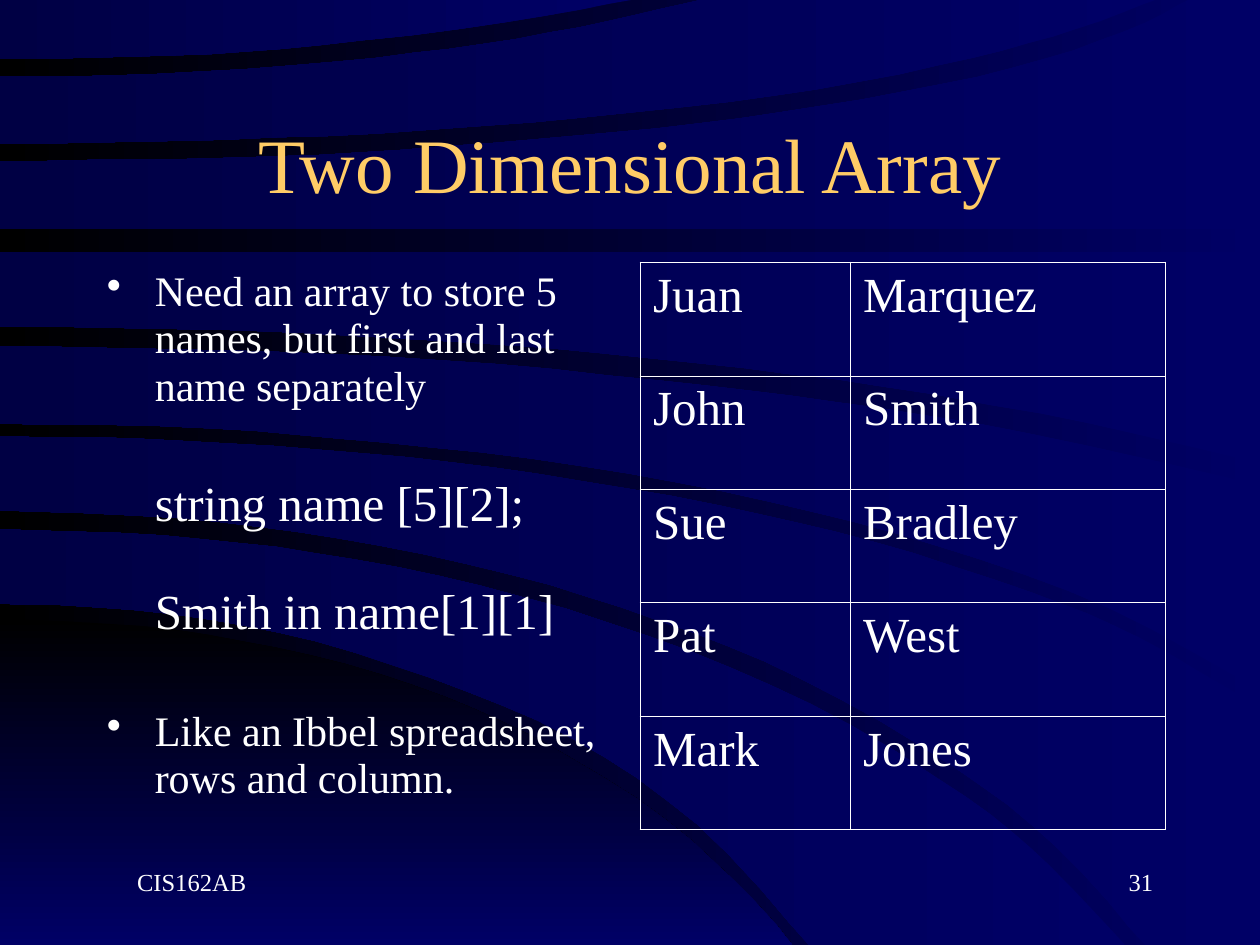
from lxml import etree
from pptx import Presentation
from pptx import util as u
from pptx.dml.color import RGBColor
from pptx.enum import text
from pptx.oxml import ns

FONT = "Times New Roman"
COLORS = {
    "navy": "000066",
    "dusk": "000044",
    "black": "000000",
    "gold": "FFCC66",
    "white": "FFFFFF",
}
COLUMNS, ROWS = 120, 90
UNIT = u.Inches(10) // COLUMNS
HANGING = 0.38
THICK, THIN = 1.08, 0.45
NAMES = [
    ("Juan", "Marquez"),
    ("John", "Smith"),
    ("Sue", "Bradley"),
    ("Pat", "West"),
    ("Mark", "Jones"),
]
HILL = (
    [(0, 4.91), (1.13, 4.97), (2.19, 5.14), (3.28, 5.44), (4.26, 5.86),
     (5.29, 6.51), (5.97, 7.13), (6.29, 7.5)],
    [],
    [(0, 7.5), (6.29, 7.5)],
)
# Each band holds its upper edge, its right-hand corners and its lower edge.
BANDS = [
    ([(0, 4.2), (1.3, 4.25), (2.49, 4.39), (3.82, 4.65), (5.15, 5.05),
      (6.44, 5.59), (7.66, 6.32), (8.33, 6.87), (8.93, 7.5)],
     [],
     [(0, 4.79), (1.05, 4.84), (2.21, 5.02), (3.42, 5.38), (4.54, 5.86),
      (5.53, 6.54), (6.42, 7.5)]),
    ([(0, 3.46), (1.44, 3.5), (2.89, 3.6), (4.26, 3.76), (5.7, 4.01),
      (6.93, 4.3), (8.18, 4.7), (9.04, 5.06), (10, 5.62)],
     [(10, 7.5)],
     [(0, 4.05), (1.4, 4.11), (2.67, 4.27), (4.05, 4.56), (5.21, 4.92),
      (6.36, 5.39), (7.56, 6.08), (8.38, 6.72), (9.09, 7.5)]),
    ([(0, 2.75), (1.68, 2.78), (3.49, 2.86), (5.23, 3.02), (6.62, 3.19),
      (8.16, 3.44), (10, 3.85)],
     [],
     [(0, 3.36), (1.67, 3.4), (3.03, 3.51), (4.62, 3.7), (6.1, 3.98),
      (7.43, 4.33), (8.81, 4.83), (10, 5.48)]),
    ([(0, 2), (10, 2)],
     [],
     [(0, 2.59), (1.86, 2.62), (3.89, 2.73), (5.52, 2.88), (7.02, 3.07),
      (8.65, 3.36), (10, 3.68)]),
    ([(0, 1.28), (1.57, 1.26), (2.86, 1.21), (4.2, 1.11), (5.54, 0.98),
      (6.84, 0.79), (8.03, 0.54), (8.92, 0.25), (9.43, 0)],
     [(10, 0)],
     [(0, 1.82), (10, 1.82)]),
    ([(0, 0.61), (1.21, 0.59), (2.67, 0.49), (3.83, 0.35), (4.82, 0.17),
      (5.56, 0)],
     [],
     [(0, 1.14), (1.77, 1.11), (3.41, 1.03), (5.04, 0.89), (6.48, 0.71),
      (7.72, 0.46), (8.54, 0.23), (9.17, 0)]),
    ([(0, 0), (5.01, 0)],
     [],
     [(0, 0.47), (1.37, 0.44), (2.53, 0.36), (3.99, 0.18), (5.01, 0)]),
]


def color(name):
    """Return the named colour."""
    return RGBColor.from_string(COLORS[name])


def smooth(knots, steps=4):
    """Return points in hundredths of an inch on a spline through the knots."""
    padded = [knots[0], *knots, knots[-1]]
    points = []
    for a, b, c, d in zip(padded, padded[1:], padded[2:], padded[3:]):
        for t in (step / steps for step in range(steps)):
            points.append(tuple(
                50 * (2 * q + (r - p) * t + (2 * p - 5 * q + 4 * r - s) * t**2
                      + (3 * q - p - 3 * r + s) * t**3)
                for p, q, r, s in zip(a, b, c, d)))
    return points + [tuple(100 * value for value in knots[-1])]


def paint_gradient(fill, first, last, angle):
    """Give a fill two colours at a counter-clockwise angle."""
    fill.gradient()
    fill.gradient_angle = angle
    for stop, name, position in zip(fill.gradient_stops, (first, last), (0, 1)):
        stop.color.rgb = color(name)
        stop.position = position


def add_band(page, band, first="navy", last="dusk", angle=180):
    """Draw one curved background band."""
    upper, corners, lower = band
    outline = smooth(upper) + [(100 * x, 100 * y) for x, y in corners]
    outline += smooth(lower)[::-1]
    builder = page.shapes.build_freeform(*outline[0], scale=u.Inches(1) / 100)
    builder.add_line_segments(outline[1:], close=True)
    shape = builder.convert_to_shape()
    shape.shadow.inherit = False
    shape.line.fill.background()
    paint_gradient(shape.fill, first, last, angle)


def write(para, words, size=28, ink="white", align=text.PP_ALIGN.LEFT,
          left=0, bullet=False, before=0, spacing=1):
    """Write formatted words into a paragraph."""
    span = para.add_run()
    span.text = words
    span.font.name = FONT
    span.font.size = u.Pt(size)
    span.font.color.rgb = color(ink)
    para.alignment = align
    para.space_before = u.Pt(before)
    para.line_spacing = spacing
    properties = para._p.get_or_add_pPr()
    properties.set("marL", str(u.Inches(left)))
    properties.set("indent", str(-u.Inches(left) if bullet else 0))
    if bullet:
        etree.SubElement(properties, ns.qn("a:buChar")).set("char", "•")


def add_box(page, column, row, width, height, anchor=text.MSO_ANCHOR.TOP):
    """Add a wrapping text box on the grid and return its frame."""
    box = page.shapes.add_textbox(*(UNIT * n for n in (column, row, width, height)))
    frame = box.text_frame
    frame.word_wrap = True
    frame.vertical_anchor = anchor
    return frame


def add_body(page):
    """Add the bulleted notes and the code lines."""
    lines = [
        ("Need an array to store 5 names, but first and last name separately",
         24, True, 0),
        ("string name [5][2];", 28, False, 38),
        ("Smith in name[1][1]", 28, False, 30),
        ("Like an Ibbel spreadsheet, rows and column.", 24, True, 39),
    ]
    frame = add_box(page, 9, 25, 50, 54)
    for index, (words, size, bullet, before) in enumerate(lines):
        para = frame.add_paragraph() if index else frame.paragraphs[0]
        write(para, words, size=size, left=HANGING, bullet=bullet,
              before=before, spacing=0.94)


def set_borders(cell, top, bottom):
    """Draw white lines round a cell."""
    properties = cell._tc.get_or_add_tcPr()
    widths = {"lnL": THICK, "lnR": THICK, "lnT": top, "lnB": bottom}
    for index, (tag, width) in enumerate(widths.items()):
        line = etree.Element(ns.qn("a:" + tag), w=str(u.Pt(width)))
        fill = etree.SubElement(line, ns.qn("a:solidFill"))
        etree.SubElement(fill, ns.qn("a:srgbClr"), val=COLORS["white"])
        properties.insert(index, line)


def add_names(page):
    """Add the table of first and last names."""
    frame = page.shapes.add_table(len(NAMES), 2, *(UNIT * n for n in (61, 25, 50, 54)))
    table = frame.table
    table.first_row = table.horz_banding = False
    for column, width in zip(table.columns, (20, 30)):
        column.width = UNIT * width
    for row, names in enumerate(NAMES):
        for column, name in enumerate(names):
            cell = table.cell(row, column)
            cell.fill.background()
            write(cell.text_frame.paragraphs[0], name)
            set_borders(cell, THIN if row else THICK,
                        THICK if row == len(NAMES) - 1 else THIN)


def main():
    """Build and save the slide."""
    deck = Presentation()
    deck.slide_width, deck.slide_height = UNIT * COLUMNS, UNIT * ROWS
    page = deck.slides.add_slide(deck.slide_layouts[6])
    paint_gradient(page.background.fill, "navy", "black", 180)
    add_band(page, HILL, "black", "navy", 270)
    for band in BANDS:
        add_band(page, band)
    title = add_box(page, 9, 8, 102, 15, text.MSO_ANCHOR.MIDDLE)
    write(title.paragraphs[0], "Two Dimensional Array", size=44, ink="gold",
          align=text.PP_ALIGN.CENTER)
    add_body(page)
    add_names(page)
    write(add_box(page, 86, 82, 25, 6).paragraphs[0], "31", size=14,
          align=text.PP_ALIGN.RIGHT, left=0.24)
    write(add_box(page, 9, 82, 25, 6).paragraphs[0], "CIS162AB", size=14, left=0.24)
    deck.save("out.pptx")


if __name__ == "__main__":
    main()
